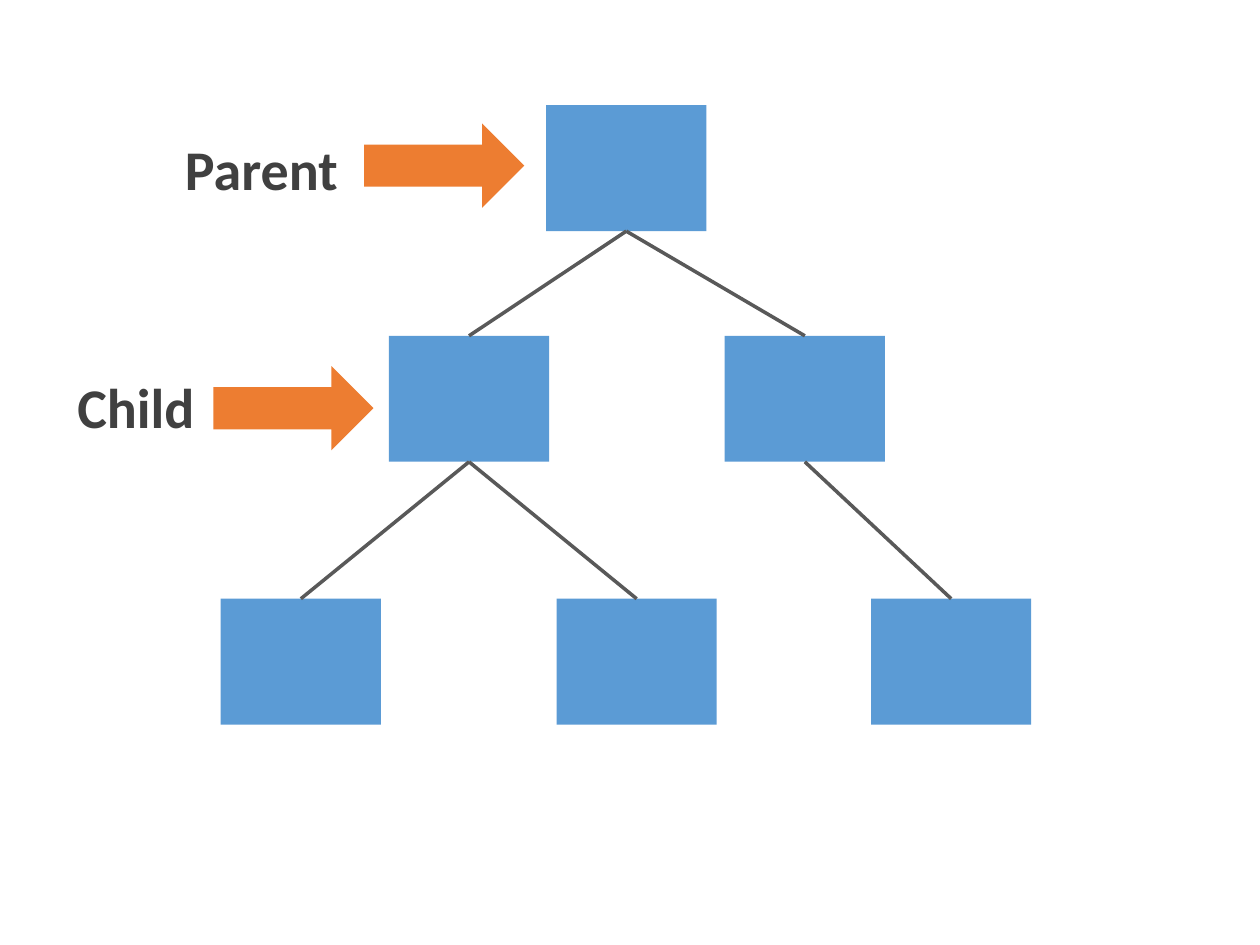
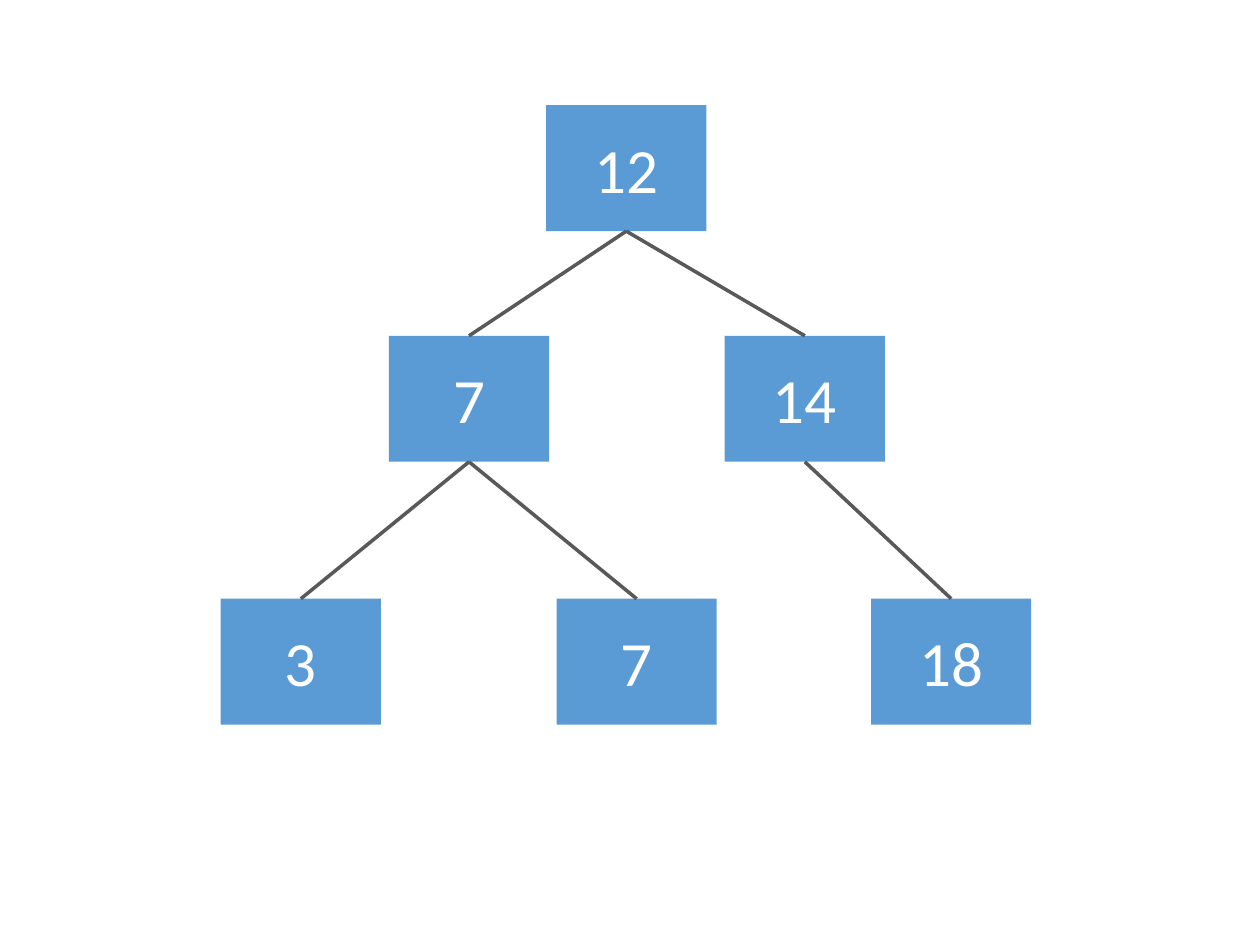
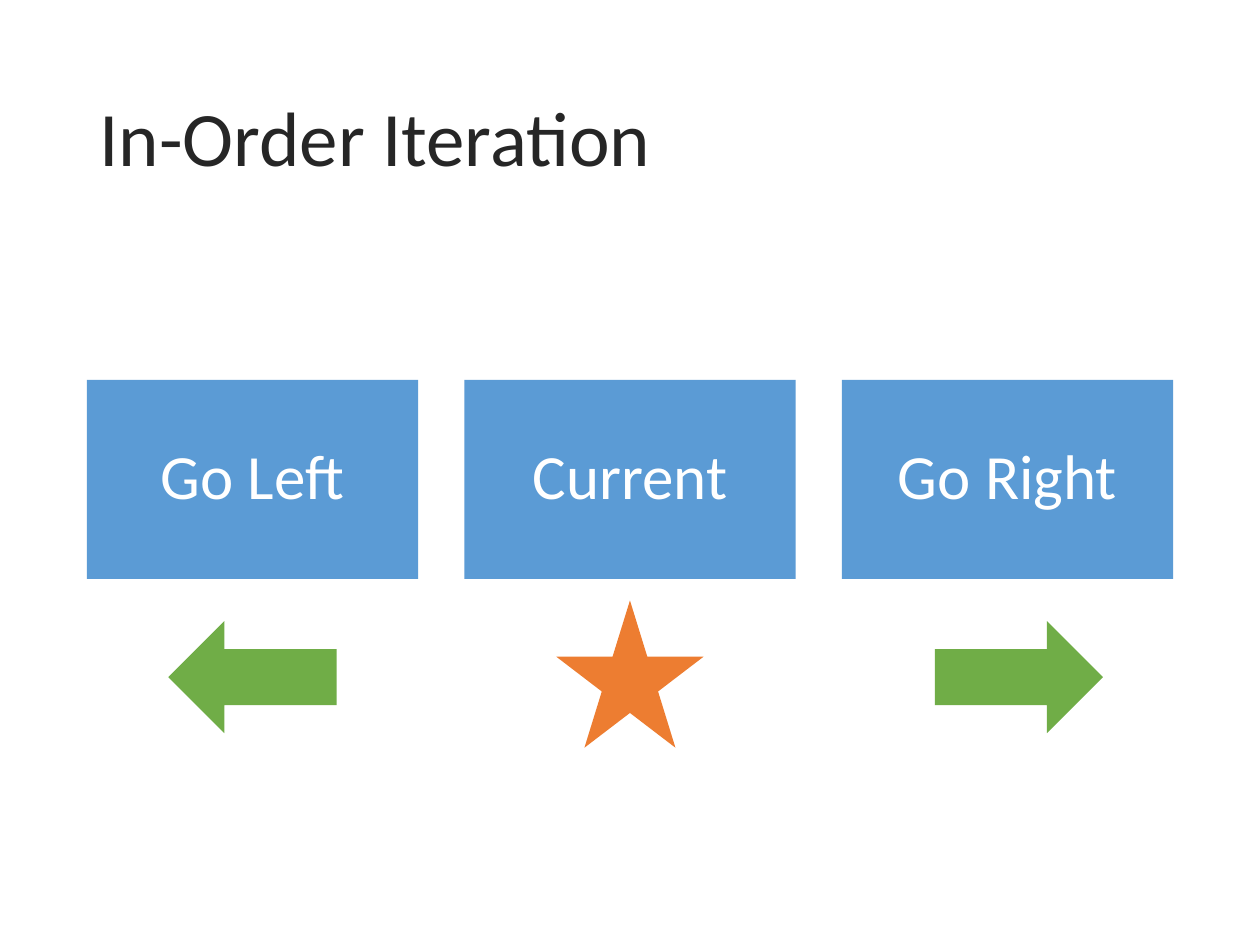
from dataclasses import dataclass

from lxml import etree
from pptx import Presentation
from pptx import util as u
from pptx.dml.color import RGBColor
from pptx.enum import shapes, text
from pptx.oxml.ns import qn


@dataclass(frozen=True)
class Theme:
    font: str = "Calibri"
    node: str = "5B9BD5"
    accent: str = "ED7D31"
    direction: str = "70AD47"
    branch: str = "595959"
    title: str = "262626"
    label: str = "404040"
    node_text: str = "FFFFFF"
    title_size: int = 44
    node_size: int = 36
    label_size: int = 32
    branch_width: int = 2


@dataclass(frozen=True)
class Box:
    left: float
    top: float
    width: float
    height: float

    def inside(self, left, top, width, height):
        return Box(self.left + left, self.top + top, width, height)

    def lengths(self):
        return [u.Cm(value) for value in (self.left, self.top, self.width, self.height)]


THEME = Theme()
PRESET = shapes.MSO_SHAPE
TITLE_LAYOUT, BLANK_LAYOUT = 5, 6
TITLE_BOX = Box(1.75, 1.02, 21.9, 3.68)
TREE_BOX = Box(4.45, 2.12, 16.34, 12.49)
STEPS_BOX = Box(1.75, 7.66, 21.9, 4.01)

NODE_WIDTH, NODE_HEIGHT = 3.23, 2.54
NODE_OFFSETS = [(6.56, 0), (3.39, 4.65), (10.16, 4.65),
                (0, 9.95), (6.77, 9.95), (13.11, 9.95)]
BRANCHES = [(0, 1), (0, 2), (1, 3), (1, 4), (2, 5)]
TOP_SITE, BOTTOM_SITE = 0, 2


def write_text(shape, content, *, size, color, bold=False, align=text.PP_ALIGN.LEFT,
               anchor=text.MSO_ANCHOR.TOP, spacing=None, inset=None,
               fit=text.MSO_AUTO_SIZE.NONE, wrap=True):
    frame = shape.text_frame
    frame.text = content
    frame.word_wrap = wrap
    frame.auto_size = fit
    frame.vertical_anchor = anchor
    if inset is not None:
        frame.margin_left = frame.margin_right = u.Cm(inset)
        frame.margin_top = frame.margin_bottom = u.Cm(inset)
    paragraph = frame.paragraphs[0]
    paragraph.alignment = align
    paragraph.line_spacing = spacing
    font = paragraph.runs[0].font
    font.name, font.size, font.bold = THEME.font, u.Pt(size), bold
    font.color.rgb = RGBColor.from_string(color)


def add_filled(slide, preset, box, color):
    shape = slide.shapes.add_shape(preset, *box.lengths())
    shape.shadow.inherit = False
    shape.fill.solid()
    shape.fill.fore_color.rgb = RGBColor.from_string(color)
    shape.line.fill.background()
    return shape


def add_block(slide, box, content=None, **text_format):
    block = add_filled(slide, PRESET.RECTANGLE, box, THEME.node)
    if content:
        write_text(block, content, size=THEME.node_size, color=THEME.node_text,
                   align=text.PP_ALIGN.CENTER, anchor=text.MSO_ANCHOR.MIDDLE,
                   **text_format)


def add_branch(slide, parent, child):
    branch = slide.shapes.add_connector(shapes.MSO_CONNECTOR.STRAIGHT, 0, 0, 0, 0)
    branch.begin_connect(parent, BOTTOM_SITE)
    branch.end_connect(child, TOP_SITE)
    branch.line.color.rgb = RGBColor.from_string(THEME.branch)
    branch.line.width = u.Pt(THEME.branch_width)
    properties = branch._element.find(qn("p:spPr"))
    etree.SubElement(properties, qn("a:effectLst"))


def draw_tree(slide, box, values=None):
    node_boxes = [box.inside(left, top, NODE_WIDTH, NODE_HEIGHT)
                  for left, top in NODE_OFFSETS]
    for node_box, value in zip(node_boxes, values or [None] * len(node_boxes)):
        add_block(slide, node_box, value)
    nodes = list(slide.shapes)
    for parent, child in BRANCHES:
        add_branch(slide, nodes[parent], nodes[child])
    return node_boxes


def draw_pointer(slide, node_box, content, arrow_offset, label_offset, label_width):
    add_filled(slide, PRESET.RIGHT_ARROW,
               node_box.inside(*arrow_offset, NODE_WIDTH, 1.7), THEME.accent)
    label_box = node_box.inside(*label_offset, label_width, 1.63)
    label = slide.shapes.add_textbox(*label_box.lengths())
    write_text(label, content, size=THEME.label_size, color=THEME.label, bold=True,
               fit=text.MSO_AUTO_SIZE.SHAPE_TO_FIT_TEXT)


def draw_title(slide, box, content):
    title = slide.shapes.title
    title.left, title.top, title.width, title.height = box.lengths()
    write_text(title, content, size=THEME.title_size, color=THEME.title,
               anchor=text.MSO_ANCHOR.MIDDLE, spacing=0.9)


def draw_steps(slide, box, steps, card_width=6.68):
    pitch = (box.width - card_width) / (len(steps) - 1)
    for index, (content, preset, color, width, height, rotation, shift, drop) in enumerate(steps):
        card = box.inside(index * pitch, 0, card_width, box.height)
        add_block(slide, card, content, spacing=0.9, inset=0.51)
        icon_box = card.inside((card.width - width) / 2 + shift,
                               card.height + drop - height / 2, width, height)
        icon = add_filled(slide, preset, icon_box, color)
        icon.rotation = rotation


def add_slide(presentation, layout):
    return presentation.slides.add_slide(presentation.slide_layouts[layout])


def main():
    presentation = Presentation()
    presentation.slide_width, presentation.slide_height = u.Cm(25.4), u.Cm(19.05)

    roles = add_slide(presentation, BLANK_LAYOUT)
    parent_box, child_box = draw_tree(roles, TREE_BOX)[:2]
    draw_pointer(roles, child_box, "Child", (-3.54, 0.61), (-6.53, 0.61), 3.33)
    draw_pointer(roles, parent_box, "Parent", (-3.67, 0.37), (-7.53, 0.47), 3.73)

    search_tree = add_slide(presentation, BLANK_LAYOUT)
    draw_tree(search_tree, TREE_BOX, ["12", "7", "14", "3", "7", "18"])

    iteration = add_slide(presentation, TITLE_LAYOUT)
    draw_title(iteration, TITLE_BOX, "In-Order Iteration")
    draw_steps(iteration, STEPS_BOX, [
        ("Go Left", PRESET.UP_ARROW, THEME.direction, 2.26, 3.39, 270, 0, 1.98),
        ("Current", PRESET.STAR_5_POINT, THEME.accent, 2.97, 2.97, 0, 0, 1.92),
        ("Go Right", PRESET.UP_ARROW, THEME.direction, 2.26, 3.39, 90, 0.23, 1.98),
    ])

    presentation.save("out.pptx")


if __name__ == "__main__":
    main()
